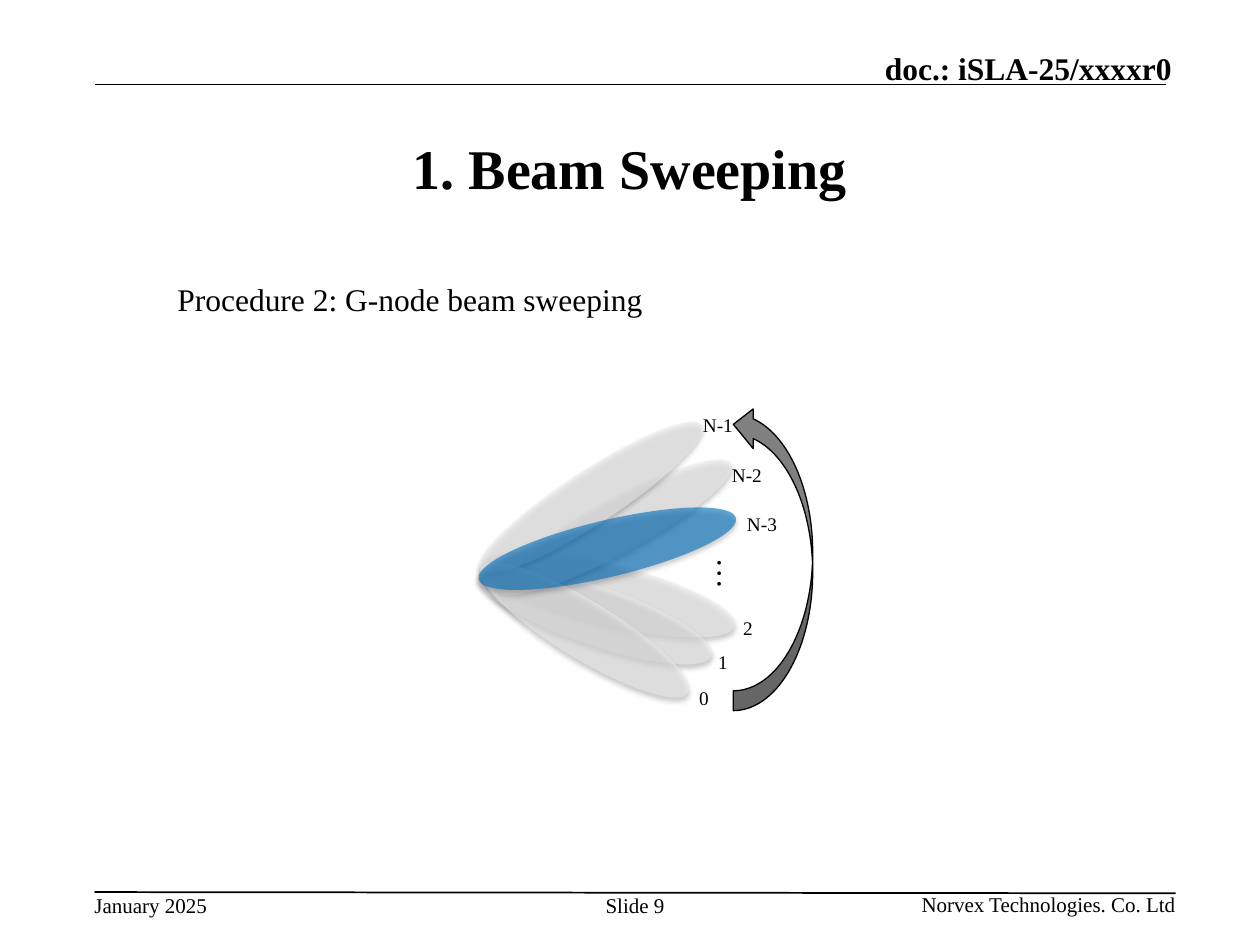
from lxml import etree
from pptx import Presentation, util as u
from pptx.dml.color import RGBColor
from pptx.enum import shapes, text
from pptx.oxml import ns

COLORS = {"ink": "000000", "beam": "EBEBEB", "active": "0070C0", "arrow": "808080"}
FONT = "Times New Roman"
LEFT, WIDTH = 0.75, 8.5
PADDED, FLUSH = (0.1, 0.05), (0, 0)
LABEL_HEIGHT = 0.29
ALIGN, ANCHOR = text.PP_ALIGN, text.MSO_ANCHOR

# Content: wording, box, size and the format values that differ
TEXTS = [
    ("January 2025", (LEFT, 7.08, 0.9, 0.2), 12, {"inset": FLUSH, "wrap": False}),
    ("doc.: iSLA-25/xxxxr0", (5.47, 0.39, 3.83, 0.3), 18,
     {"inset": FLUSH, "bold": True, "align": ALIGN.RIGHT, "anchor": ANCHOR.BOTTOM}),
    ("Norvex Technologies. Co. Ltd", (7.2, 7.03, 2.23, 0.3), 12,
     {"wrap": False, "align": ALIGN.RIGHT}),
    ("1. Beam Sweeping", (LEFT, 0.75, WIDTH, 1.16), 32,
     {"bold": True, "align": ALIGN.CENTER, "anchor": ANCHOR.MIDDLE}),
    ("Procedure 2: G-node beam sweeping", (LEFT, 2.17, WIDTH, 4.5), 18, {"indent": 0.56}),
    ("Slide 9", (4.75, 7.08, 0.58, 0.4), 12, {"inset": FLUSH, "align": ALIGN.CENTER}),
]
RULES = [(LEFT, 0.67, 9.25, 0.67), (LEFT, 7.08, 9.33, 7.09)]

# Beams from back to front: box, rotation, colour
BEAMS = [
    ((3.81, 4.48, 2.05, 0.48), 14, "beam"),
    ((3.74, 4.65, 1.96, 0.47), 19, "beam"),
    ((3.83, 3.97, 2.1, 0.43), 331.5, "beam"),
    ((3.64, 3.74, 2.1, 0.42), 326.8, "beam"),
    ((3.68, 4.77, 1.92, 0.46), 31.3, "beam"),
    ((3.77, 4.13, 2.1, 0.45), 346.6, "active"),
]
SWEEP_ARROW = (5.82, 3.21, 0.63, 2.43)
BEAM_LABELS = [
    ("0", 5.45, 5.4), ("1", 5.6, 5.11), ("2", 5.8, 4.84),
    ("N-3", 5.83, 4.02), ("N-2", 5.71, 3.63), ("N-1", 5.48, 3.23),
]
ELLIPSIS_BOX = (5.46, 4.42, 0.32, 0.4)


def inches(box):
    return [u.Inches(value) for value in box]


def color(name):
    return RGBColor.from_string(COLORS[name])


def add_child(parent, tag, **attributes):
    values = {key: str(value) for key, value in attributes.items()}
    return etree.SubElement(parent, ns.qn(tag), values)


def set_all(target, values):
    for name, value in values.items():
        setattr(target, name, value)


def add_text(slide, wording, box, size, inset=PADDED, wrap=True, bold=False,
             align=ALIGN.LEFT, anchor=ANCHOR.TOP, indent=0):
    shape = slide.shapes.add_textbox(*inches(box))
    side, end = inches(inset)
    set_all(shape.text_frame, {
        "margin_left": side, "margin_right": side, "margin_top": end,
        "margin_bottom": end, "word_wrap": wrap, "vertical_anchor": anchor})
    paragraph = shape.text_frame.paragraphs[0]
    paragraph.alignment = align
    if indent:
        paragraph._p.get_or_add_pPr().set("marL", str(u.Inches(indent)))
    run = paragraph.add_run()
    run.text = wording
    set_all(run.font, {"name": FONT, "size": u.Pt(size), "bold": bold})
    run.font.color.rgb = color("ink")
    return shape


def add_rule(slide, ends):
    line = slide.shapes.add_connector(shapes.MSO_CONNECTOR.STRAIGHT, *inches(ends))
    line.line.width = u.Pt(1)
    line.line.color.rgb = color("ink")
    add_child(line._element.spPr, "a:effectLst")


def add_filled(slide, kind, box, rotation, fill):
    shape = slide.shapes.add_shape(kind, *inches(box))
    shape.rotation = rotation
    shape.shadow.inherit = False
    shape.fill.solid()
    shape.fill.fore_color.rgb = color(fill)
    return shape


def add_beam(slide, box, rotation, fill):
    shape = add_filled(slide, shapes.MSO_SHAPE.OVAL, box, rotation, fill)
    shape.line.fill.background()
    properties = shape._element.spPr
    # Translucent fill and a soft shadow straight below
    add_child(properties.find(".//" + ns.qn("a:srgbClr")), "a:alpha", val=60000)
    shadow = add_child(properties.find(ns.qn("a:effectLst")), "a:outerShdw",
                       blurRad=u.Pt(3.1), dist=u.Pt(1.8), dir=90 * 60000, rotWithShape=0)
    tint = add_child(shadow, "a:srgbClr", val=COLORS["ink"])
    add_child(tint, "a:alpha", val=35000)


def main():
    presentation = Presentation()
    set_all(presentation, {"slide_width": u.Inches(10), "slide_height": u.Inches(7.5)})
    slide = presentation.slides.add_slide(presentation.slide_layouts[6])

    # Frame, title and body
    for ends in RULES:
        add_rule(slide, ends)
    for wording, box, size, options in TEXTS:
        add_text(slide, wording, box, size, **options)

    # Beam fan and sweep direction
    for beam in BEAMS:
        add_beam(slide, *beam)
    arrow = add_filled(slide, shapes.MSO_SHAPE.CURVED_RIGHT_ARROW, SWEEP_ARROW, 180, "arrow")
    arrow.line.width = u.Pt(0.75)
    arrow.line.color.rgb = color("ink")

    # Beam numbers
    add_text(slide, "…", ELLIPSIS_BOX, 18).rotation = 270
    for wording, left, top in BEAM_LABELS:
        width = 0.32 if len(wording) == 1 else 0.45
        add_text(slide, wording, (left, top, width, LABEL_HEIGHT), 11)

    presentation.save("out.pptx")


if __name__ == "__main__":
    main()
